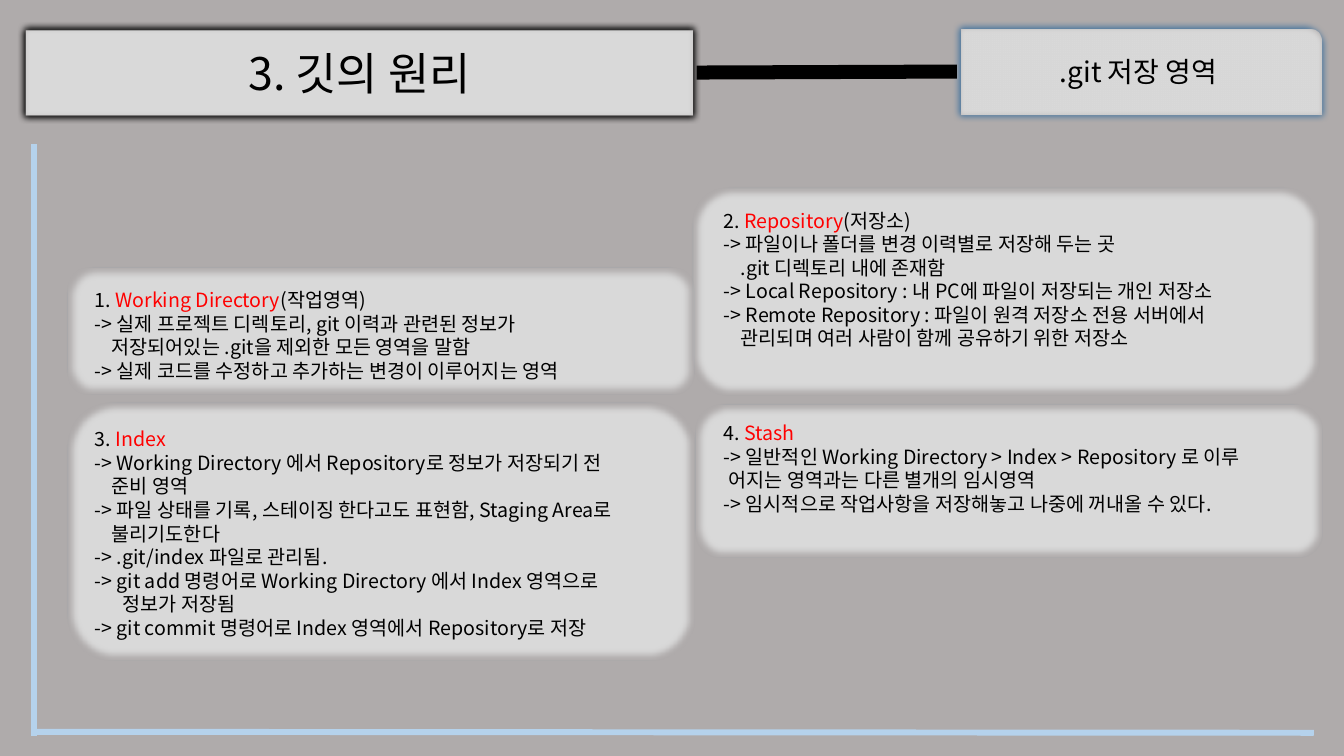
from dataclasses import dataclass

from lxml import etree
from pptx import Presentation
from pptx import util as u
from pptx.dml.color import RGBColor
from pptx.enum import shapes, text
from pptx.oxml.ns import qn


@dataclass(frozen=True)
class Theme:
    font: str = "Noto Sans CJK KR"
    back: str = "AFABAB"
    card: str = "D9D9D9"
    ink: str = "000000"
    mark: str = "FF0000"
    edge: str = "43739E"
    frame: str = "B5D2EC"
    head: int = 32
    sub: int = 20
    body: int = 14
    soft: float = 5


class Board:
    def __init__(self, slide, theme):
        self.slide = slide
        self.theme = theme
        fill = slide.background.fill
        fill.solid()
        fill.fore_color.rgb = RGBColor.from_string(theme.back)

    def add_words(self, para, words, size, color):
        run = para.add_run()
        run.text = words
        font = run.font
        font.size = u.Pt(size)
        font.color.rgb = RGBColor.from_string(color)
        font.name = self.theme.font
        etree.SubElement(run._r.rPr, qn("a:ea"), typeface=self.theme.font)

    def style(self, shape, edge, width):
        shape.fill.solid()
        shape.fill.fore_color.rgb = RGBColor.from_string(self.theme.card)
        shape.line.color.rgb = RGBColor.from_string(edge)
        shape.line.width = u.Pt(width)
        shape.shadow.inherit = False
        glow = shape._element.spPr.find(qn("a:effectLst"))
        etree.SubElement(glow, qn("a:softEdge"), rad=str(u.Pt(self.theme.soft)))

    def label(self, shape, words, size):
        frame = shape.text_frame
        frame.word_wrap = True
        frame.auto_size = text.MSO_AUTO_SIZE.NONE
        frame.vertical_anchor = text.MSO_ANCHOR.MIDDLE
        para = frame.paragraphs[0]
        para.alignment = text.PP_ALIGN.CENTER
        self.add_words(para, words, size, self.theme.ink)

    def title(self, words, left, top, width, height):
        shape = self.slide.shapes.title
        shape.left, shape.top = u.Inches(left), u.Inches(top)
        shape.width, shape.height = u.Inches(width), u.Inches(height)
        form = etree.Element(qn("a:prstGeom"), prst="roundRect")
        etree.SubElement(form, qn("a:avLst"))
        shape._element.spPr.insert(1, form)
        self.style(shape, self.theme.ink, 6)
        self.label(shape, words, self.theme.head)
        return shape

    def box(self, home, kind, area, edge, width):
        shape = home.add_shape(kind, *map(u.Inches, area))
        self.style(shape, edge, width)
        return shape

    def topic(self, words, area):
        kind = shapes.MSO_SHAPE.ROUND_1_RECTANGLE
        shape = self.box(self.slide.shapes, kind, area, self.theme.edge, 6)
        self.label(shape, words, self.theme.sub)
        return shape

    def panel(self, area, note, head, items):
        home = self.slide.shapes.add_group_shape().shapes
        kind = shapes.MSO_SHAPE.ROUNDED_RECTANGLE
        self.box(home, kind, area, self.theme.edge, 1)
        frame = home.add_textbox(*map(u.Inches, note)).text_frame
        frame.word_wrap = True
        frame.auto_size = text.MSO_AUTO_SIZE.SHAPE_TO_FIT_TEXT
        para = frame.paragraphs[0]
        tones = (self.theme.ink, self.theme.mark, self.theme.ink)
        for words, tone in zip(head, tones):
            self.add_words(para, words, self.theme.body, tone)
        for hang, *lines in items:
            para = frame.add_paragraph()
            prop = para._p.get_or_add_pPr()
            prop.set("marL", str(u.Inches(hang)))
            prop.set("indent", str(-u.Inches(hang)))
            for spot, words in enumerate(lines):
                if spot:
                    para.add_line_break()
                self.add_words(para, words, self.theme.body, self.theme.ink)

    def line(self, home, ends, color, width):
        link = home.add_connector(shapes.MSO_CONNECTOR.STRAIGHT, *map(u.Inches, ends))
        link.line.color.rgb = RGBColor.from_string(color)
        link.line.width = u.Pt(width)
        etree.SubElement(link._element.spPr, qn("a:effectLst"))
        return link


PANELS = [
    ((6.9, 4.01, 6.21, 1.51), (7.08, 4.13, 6, 1.04), ("4. ", "Stash"), [
        (0.05, "-> 일반적인 Working Directory > Index > Repository 로 이루",
         "어지는 영역과는 다른 별개의 임시영역"),
        (0, "-> 임시적으로 작업사항을 저장해놓고 나중에 꺼내올 수 있다."),
    ]),
    ((6.87, 1.86, 6.21, 2.06), (7.08, 2.02, 6.03, 1.51),
     ("2. ", "Repository", "(저장소)"), [
        (0.17, "-> 파일이나 폴더를 변경 이력별로 저장해 두는 곳", ".git 디렉토리 내에 존재함"),
        (0, "-> Local Repository : 내 PC에 파일이 저장되는 개인 저장소"),
        (0.17, "-> Remote Repository : 파일이 원격 저장소 전용 서버에서",
         "관리되며 여러 사람이 함께 공유하기 위한 저장소"),
    ]),
    ((0.67, 2.65, 6.21, 1.26), (0.84, 2.81, 6.03, 1.04),
     ("1. ", "Working Directory", "(작업영역)"), [
        (0.17, "-> 실제 프로젝트 디렉토리, git 이력과 관련된 정보가",
         "저장되어있는 .git을 제외한 모든 영역을 말함"),
        (0, "-> 실제 코드를 수정하고 추가하는 변경이 이루어지는 영역"),
    ]),
    ((0.67, 3.99, 6.21, 2.56), (0.84, 4.19, 6, 2.22), ("3. ", "Index"), [
        (0.17, "-> Working Directory 에서 Repository로 정보가 저장되기 전", "준비 영역"),
        (0.17, "-> 파일 상태를 기록, 스테이징 한다고도 표현함, Staging Area로",
         "불리기도한다"),
        (0, "-> .git/index 파일로 관리됨."),
        (0.28, "-> git add 명령어로 Working Directory 에서 Index 영역으로",
         "정보가 저장됨"),
        (0, "-> git commit 명령어로 Index 영역에서 Repository로 저장"),
    ]),
]


def main():
    deck = Presentation()
    deck.slide_width, deck.slide_height = u.Inches(13.33), u.Inches(7.5)
    theme = Theme()
    board = Board(deck.slides.add_slide(deck.slide_layouts[5]), theme)
    title = board.title("3. 깃의 원리", 0.22, 0.26, 6.69, 0.92)
    topic = board.topic(".git 저장 영역", (9.49, 0.25, 3.65, 0.92))
    for panel in PANELS:
        board.panel(*panel)
    link = board.line(board.slide.shapes, (6.9, 0.72, 9.49, 0.72), theme.ink, 10)
    link.begin_connect(title, 3)
    link.end_connect(topic, 1)
    frame = board.slide.shapes.add_group_shape().shapes
    for ends in ((0.34, 1.43, 0.34, 7.3), (13.03, 7.27, 0.31, 7.26)):
        board.line(frame, ends, theme.frame, 4.25)
    deck.save("out.pptx")


if __name__ == "__main__":
    main()
